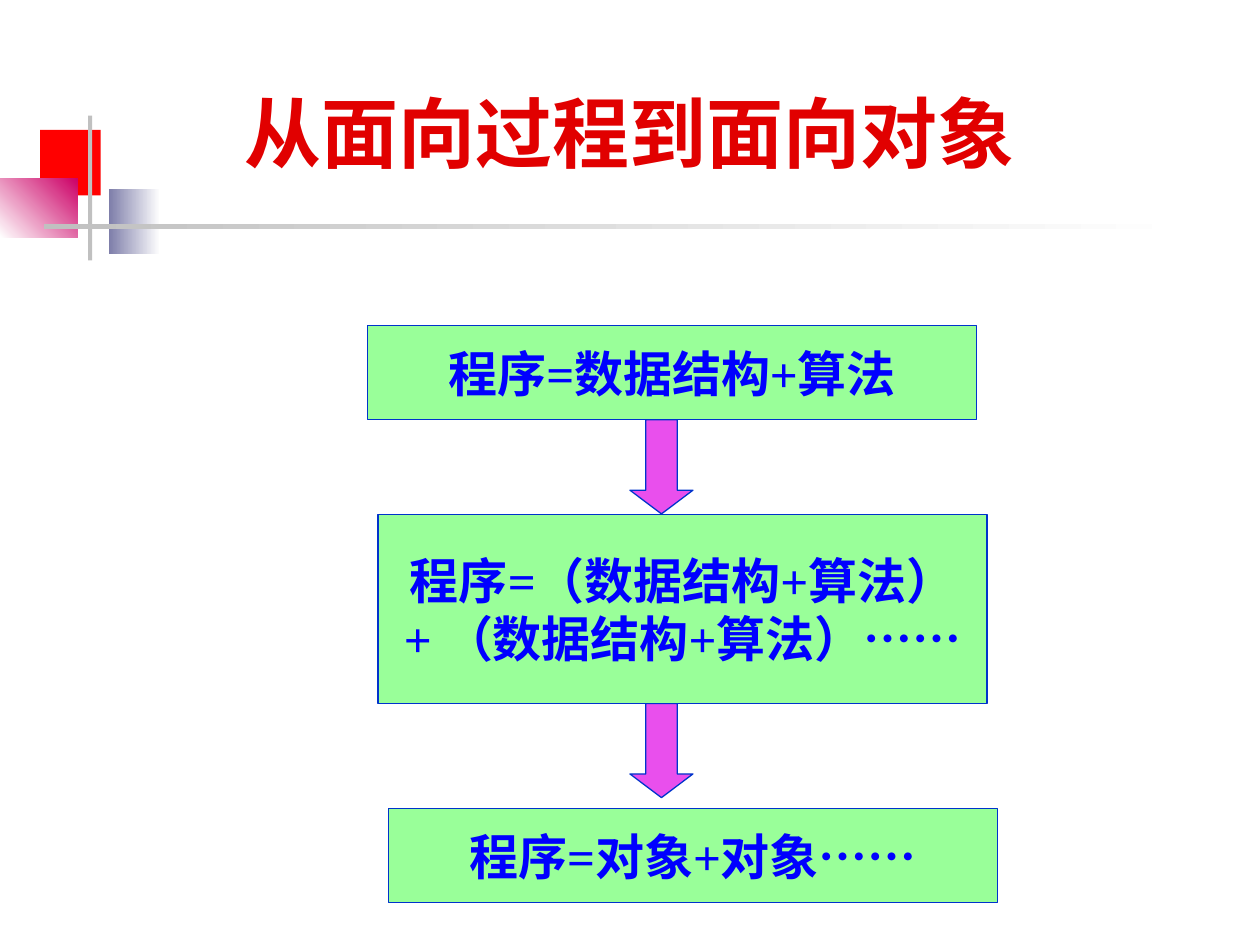
from dataclasses import dataclass

from pptx import Presentation
from pptx.dml.color import RGBColor
from pptx.enum.shapes import MSO_SHAPE
from pptx.enum.text import MSO_ANCHOR, PP_ALIGN
from pptx.util import Cm, Pt

RECT, DOWN_ARROW = MSO_SHAPE.RECTANGLE, MSO_SHAPE.DOWN_ARROW
MIDDLE, CENTER = MSO_ANCHOR.MIDDLE, PP_ALIGN.CENTER

COLORS = {
    "title": "E10000", "formula": "0000FF", "box": "99FF99",
    "arrow": "E94FED", "outline": "0033CC", "red": "FF0000",
    "slate": "7D7DA9", "pink": "CC0066", "gray": "C0C0C0", "white": "FFFFFF",
}
TITLE_FORMAT = {"name": "Arial", "size": Pt(44), "bold": True}
FORMULA_FORMAT = {"name": "Times New Roman", "size": Pt(28), "bold": True}
FRAME_FORMAT = {
    "vertical_anchor": MIDDLE,
    "margin_left": Cm(0.25), "margin_right": Cm(0.25),
    "margin_top": Cm(0.13), "margin_bottom": Cm(0.13),
}


@dataclass
class Area:
    """Position and size in centimetres."""
    left: float
    top: float
    width: float
    height: float

    def lengths(self) -> tuple:
        return Cm(self.left), Cm(self.top), Cm(self.width), Cm(self.height)


@dataclass
class Ornament:
    area: Area
    colors: tuple  # one colour is solid, two make a gradient
    angle: float = 0


@dataclass
class Stage:
    top: float
    height: float
    lines: tuple


def rgb(color: str) -> RGBColor:
    return RGBColor.from_string(COLORS[color])


def apply_format(target, values: dict) -> None:
    for attribute, value in values.items():
        setattr(target, attribute, value)


def add_plain_shape(slide, kind, area: Area):
    shape = slide.shapes.add_shape(kind, *area.lengths())
    shape.shadow.inherit = False
    return shape


def add_outlined_shape(slide, kind, area: Area, color: str):
    shape = add_plain_shape(slide, kind, area)
    shape.fill.solid()
    shape.fill.fore_color.rgb = rgb(color)
    shape.line.color.rgb = rgb("outline")
    shape.line.width = Pt(0.75)
    return shape


def write_lines(shape, lines: tuple, font_format: dict, color: str, wrap: bool) -> None:
    frame = shape.text_frame
    apply_format(frame, FRAME_FORMAT)
    frame.word_wrap = wrap
    for index, line in enumerate(lines):
        paragraph = frame.add_paragraph() if index else frame.paragraphs[0]
        paragraph.alignment = CENTER
        run = paragraph.add_run()
        run.text = line
        apply_format(run.font, font_format)
        run.font.color.rgb = rgb(color)


def add_ornament(slide, ornament: Ornament) -> None:
    shape = add_plain_shape(slide, RECT, ornament.area)
    shape.line.fill.background()
    if len(ornament.colors) == 1:
        shape.fill.solid()
        shape.fill.fore_color.rgb = rgb(ornament.colors[0])
        return
    shape.fill.gradient()
    shape.fill.gradient_angle = ornament.angle
    for stop, color in zip(shape.fill.gradient_stops, ornament.colors):
        stop.color.rgb = rgb(color)


STAGE_LEFT, STAGE_SHIFT, STAGE_WIDTH = 7.41, 0.21, 12.28
ARROW_LEFT, ARROW_WIDTH, ARROW_HEIGHT = 12.7, 1.27, 1.9
STAGES = [
    Stage(6.56, 1.9, ("程序=数据结构+算法",)),
    Stage(10.37, 3.81, ("程序=（数据结构+算法）", "+ （数据结构+算法）……")),
    Stage(16.3, 1.9, ("程序=对象+对象……",)),
]
ORNAMENTS = [
    Ornament(Area(0.81, 2.62, 1.22, 1.32), ("red",)),
    Ornament(Area(2.19, 3.81, 1.04, 1.32), ("slate", "white")),
    Ornament(Area(0, 3.6, 1.57, 1.18), ("white", "pink"), 45),
    Ornament(Area(1.78, 2.33, 0.08, 2.92), ("gray",)),
    Ornament(Area(0.89, 4.52, 23.06, 0.1), ("gray", "white")),
]


def main() -> None:
    presentation = Presentation()
    presentation.slide_width, presentation.slide_height = Cm(25.4), Cm(19.05)
    slide = presentation.slides.add_slide(presentation.slide_layouts[6])

    # Corner squares and rules
    for ornament in ORNAMENTS:
        add_ornament(slide, ornament)

    # Title
    title = slide.shapes.add_textbox(*Area(0.84, 1.06, 23.72, 3.18).lengths())
    write_lines(title, ("从面向过程到面向对象",), TITLE_FORMAT, "title", True)

    # Arrows below every stage but the last
    for stage in STAGES[:-1]:
        area = Area(ARROW_LEFT, stage.top + stage.height, ARROW_WIDTH, ARROW_HEIGHT)
        arrow = add_outlined_shape(slide, DOWN_ARROW, area, "arrow")
        arrow.adjustments[0] = 0.5
        arrow.adjustments[1] = 0.375

    # Formula boxes, each shifted a little to the right
    for index, stage in enumerate(STAGES):
        left = STAGE_LEFT + index * STAGE_SHIFT
        area = Area(left, stage.top, STAGE_WIDTH, stage.height)
        box = add_outlined_shape(slide, RECT, area, "box")
        write_lines(box, stage.lines, FORMULA_FORMAT, "formula", False)

    presentation.save("out.pptx")


if __name__ == "__main__":
    main()
